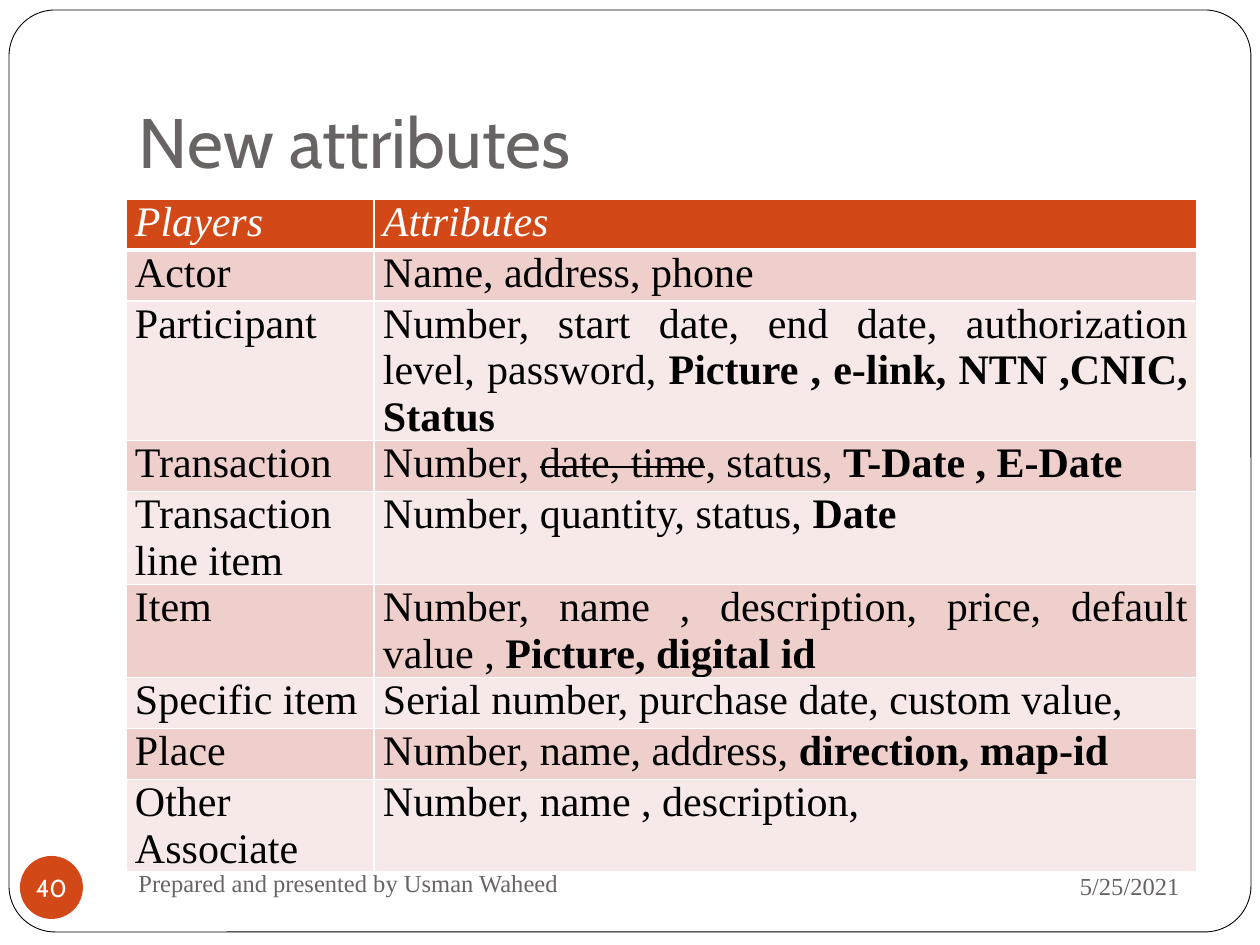
import lxml.etree
import pptx
import pptx.dml.color
import pptx.enum.shapes
import pptx.enum.text
import pptx.oxml.ns
import pptx.util

SCALE = 914400 / 126
COLORS = {
    "white": "FFFFFF",
    "black": "000000",
    "gray": "696464",
    "accent": "D34817",
    "dark_band": "EFCFCC",
    "light_band": "F7E9E8",
}
HEADING_FONT = "Cabin"
BODY_FONT = "Times New Roman"
COLUMN_WIDTHS = [248, 823]
ROWS = [
    ("Players", [("Attributes", "")]),
    ("Actor", [("Name, address, phone", "")]),
    ("Participant", [
        ("Number, start date, end date, authorization level, password, ", ""),
        ("Picture , e-link, NTN ,CNIC, Status", "bold"),
    ]),
    ("Transaction", [
        ("Number, ", ""),
        ("date, time", "strike"),
        (", status, ", ""),
        ("T-Date , E-Date", "bold"),
    ]),
    ("Transaction line item", [("Number, quantity, status, ", ""), ("Date", "bold")]),
    ("Item", [
        ("Number, name , description, price, default value , ", ""),
        ("Picture, digital id", "bold"),
    ]),
    ("Specific item", [("Serial number, purchase date, custom value,", "")]),
    ("Place", [("Number, name, address, ", ""), ("direction, map-id", "bold")]),
    ("Other Associate", [("Number, name , description,", "")]),
]
ROW_HEIGHTS = [51, 51, 139, 51, 93, 93, 51, 51, 93]


def px(length):
    """Turn pixels into EMU."""
    return pptx.util.Emu(round(length * SCALE))


def color(name):
    """Look up a named colour."""
    return pptx.dml.color.RGBColor.from_string(COLORS[name])


def style_font(font, size, name, color_name):
    """Set the size, typeface and colour of a font."""
    font.size = pptx.util.Pt(size)
    font.name = name
    font.color.rgb = color(color_name)


def set_margins(holder, left, top, right, bottom):
    """Set the inner margins of a text frame or cell."""
    holder.margin_left, holder.margin_top = px(left), px(top)
    holder.margin_right, holder.margin_bottom = px(right), px(bottom)


def add_frame(page, box):
    """Place the rounded page outline behind everything else."""
    frame = page.shapes.add_shape(
        pptx.enum.shapes.MSO_SHAPE.ROUNDED_RECTANGLE, *map(px, box))
    frame.adjustments[0] = 0.05
    frame.shadow.inherit = False
    frame.fill.solid()
    frame.fill.fore_color.rgb = color("white")
    frame.line.color.rgb = color("black")
    frame.line.width = pptx.util.Pt(0.5)
    page.shapes.element.insert(2, frame.element)


def fill_title(page, box, text):
    """Move and fill the title placeholder."""
    title = page.shapes.title
    title.left, title.top, title.width, title.height = map(px, box)
    frame = title.text_frame
    frame.text = text
    frame.word_wrap = True
    frame.vertical_anchor = pptx.enum.text.MSO_ANCHOR.BOTTOM
    set_margins(frame, 13, 6, 13, 13)
    para = frame.paragraphs[0]
    para.alignment = pptx.enum.text.PP_ALIGN.LEFT
    style_font(para.font, 40, HEADING_FONT, "gray")


def add_note(page, box, text, alignment):
    """Place one line of footer text."""
    frame = page.shapes.add_textbox(*map(px, box)).text_frame
    frame.text = text
    frame.word_wrap = True
    frame.vertical_anchor = pptx.enum.text.MSO_ANCHOR.MIDDLE
    para = frame.paragraphs[0]
    para.alignment = alignment
    style_font(para.font, 14, BODY_FONT, "gray")


def add_page_badge(page, box, number):
    """Place the round page number."""
    badge = page.shapes.add_shape(pptx.enum.shapes.MSO_SHAPE.OVAL, *map(px, box))
    badge.shadow.inherit = False
    badge.fill.solid()
    badge.fill.fore_color.rgb = color("accent")
    badge.line.fill.background()
    frame = badge.text_frame
    frame.text = number
    frame.word_wrap = False
    frame.vertical_anchor = pptx.enum.text.MSO_ANCHOR.MIDDLE
    set_margins(frame, 0, 0, 0, 0)
    para = frame.paragraphs[0]
    para.alignment = pptx.enum.text.PP_ALIGN.CENTER
    style_font(para.font, 14, HEADING_FONT, "white")


def add_borders(cell, widths):
    """Draw white borders, with widths in points by side."""
    properties = cell._tc.get_or_add_tcPr()
    for index, (side, width) in enumerate(widths.items()):
        line = lxml.etree.Element(
            pptx.oxml.ns.qn(f"a:ln{side}"), w=str(pptx.util.Pt(width)))
        fill = lxml.etree.SubElement(line, pptx.oxml.ns.qn("a:solidFill"))
        lxml.etree.SubElement(fill, pptx.oxml.ns.qn("a:srgbClr"), val=COLORS["white"])
        properties.insert(index, line)


def fill_cell(cell, spans, row):
    """Write and format one cell according to its row."""
    header = row == 0
    band = "accent" if header else "dark_band" if row % 2 else "light_band"
    cell.fill.solid()
    cell.fill.fore_color.rgb = color(band)
    add_borders(cell, {"L": 1, "R": 1, "T": 3 if row == 1 else 1, "B": 3 if header else 1})
    set_margins(cell, 9, 0, 9, 0)
    para = cell.text_frame.paragraphs[0]
    para.alignment = pptx.enum.text.PP_ALIGN.JUSTIFY
    style_font(para.font, 24, BODY_FONT, "white" if header else "black")
    para.font.bold = False
    para.font.italic = header
    for text, style in spans:
        span = para.add_run()
        span.text = text
        if style == "bold":
            span.font.bold = True
        elif style == "strike":
            span.font._element.set("strike", "sngStrike")


def add_attribute_table(page, left, top):
    """Place the table of players and their attributes."""
    table = page.shapes.add_table(
        len(ROWS), len(COLUMN_WIDTHS), px(left), px(top),
        px(sum(COLUMN_WIDTHS)), px(sum(ROW_HEIGHTS))).table
    for column, width in zip(table.columns, COLUMN_WIDTHS):
        column.width = px(width)
    for row, (player, attributes) in enumerate(ROWS):
        table.rows[row].height = px(ROW_HEIGHTS[row])
        fill_cell(table.cell(row, 0), [(player, "")], row)
        fill_cell(table.cell(row, 1), attributes, row)


def main():
    """Build and save the slide."""
    deck = pptx.Presentation()
    deck.slide_width, deck.slide_height = px(1260), px(945)
    page = deck.slides.add_slide(deck.slide_layouts[5])
    add_frame(page, (9, 10, 1242, 922))
    fill_title(page, (126, 38, 1071, 158), "New attributes")
    add_attribute_table(page, 126, 199)
    add_note(page, (850, 853, 342, 66), "5/25/2021", pptx.enum.text.PP_ALIGN.RIGHT)
    add_note(page, (126, 851, 546, 63), "Prepared and presented by Usman Waheed",
             pptx.enum.text.PP_ALIGN.LEFT)
    add_page_badge(page, (20, 856, 63, 63), "40")
    deck.save("out.pptx")


if __name__ == "__main__":
    main()
